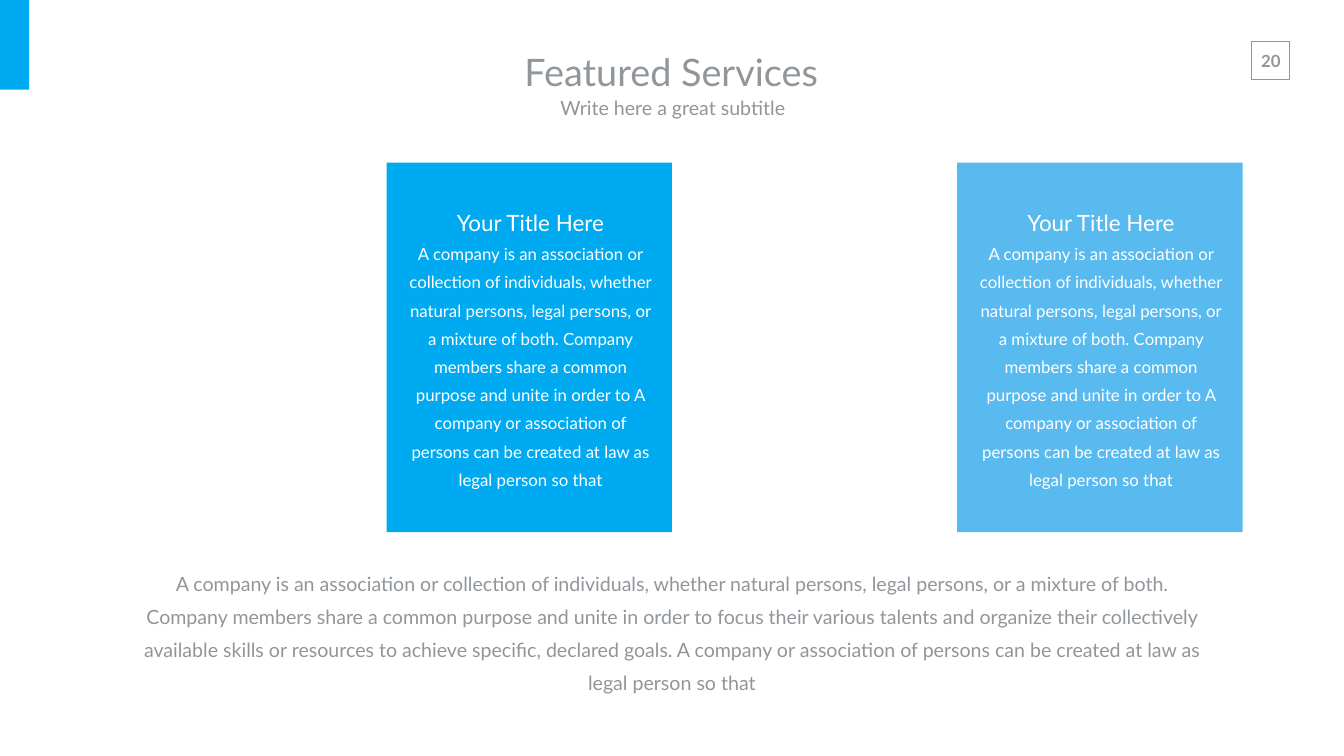
import pptx
import pptx.dml.color
import pptx.enum.shapes
import pptx.enum.text
import pptx.util
from pptx.util import Cm

BLUE, LIGHT_BLUE, GREY, WHITE = "00AAF0", "59BAF0", "91969B", "FFFFFF"
FONT = "Lato"
INTRODUCTION = (
    "A company is an association or collection of individuals, whether natural persons, "
    "legal persons, or a mixture of both. Company members share a common purpose and unite in order to "
)
ENDING = "A company or association of persons can be created at law as legal person so that"
CARD_TEXT = INTRODUCTION + ENDING
SUMMARY = (
    INTRODUCTION + "focus their various talents and organize their collectively available skills "
    "or resources to achieve specific, declared goals. " + ENDING
)


def color(value):
    """Turn a hex string into a colour."""
    return pptx.dml.color.RGBColor.from_string(value)


def add_rectangle(slide, left, top, width, height, fill=None, line=None):
    """Add a rectangle, measured in centimetres, with an optional fill and outline."""
    shape = slide.shapes.add_shape(
        pptx.enum.shapes.MSO_SHAPE.RECTANGLE, Cm(left), Cm(top), Cm(width), Cm(height)
    )
    shape.shadow.inherit = False
    if fill:
        shape.fill.solid()
        shape.fill.fore_color.rgb = color(fill)
    else:
        shape.fill.background()
    if line:
        shape.line.color.rgb = color(line)
        shape.line.width = pptx.util.Pt(1)
    else:
        shape.line.fill.background()


def add_text(slide, left, top, width, height, lines, text_color=GREY, bold=False,
             spacing=None, margins=(0.25, 0.13), middle=False, wrap=True):
    """Add centred text from pairs of wording and point size."""
    frame = slide.shapes.add_textbox(Cm(left), Cm(top), Cm(width), Cm(height)).text_frame
    frame.word_wrap = wrap
    frame.auto_size = pptx.enum.text.MSO_AUTO_SIZE.SHAPE_TO_FIT_TEXT
    frame.margin_left = frame.margin_right = Cm(margins[0])
    frame.margin_top = frame.margin_bottom = Cm(margins[1])
    if middle:
        frame.vertical_anchor = pptx.enum.text.MSO_ANCHOR.MIDDLE
    for index, (wording, size) in enumerate(lines):
        paragraph = frame.add_paragraph() if index else frame.paragraphs[0]
        paragraph.text = wording
        paragraph.alignment = pptx.enum.text.PP_ALIGN.CENTER
        paragraph.line_spacing = spacing
        paragraph.font.name = FONT
        paragraph.font.size = pptx.util.Pt(size)
        paragraph.font.bold = bold
        paragraph.font.color.rgb = color(text_color)


def add_card(slide, left, fill):
    """Add a filled service card with its title and description."""
    add_rectangle(slide, left, 8.2, 14.38, 18.62, fill=fill)
    add_text(slide, left + 0.76, 9.86, 12.98, 15.04,
             [("Your Title Here", 32), (CARD_TEXT, 24)], text_color=WHITE, spacing=1.4)


def main():
    """Build the featured services slide."""
    presentation = pptx.Presentation()
    presentation.slide_width, presentation.slide_height = Cm(67.72), Cm(38.1)
    slide = presentation.slides.add_slide(presentation.slide_layouts[6])

    add_text(slide, 63, 2.29, 2.06, 1.55, [("20", 24)], bold=True,
             margins=(0.51, 0.25), wrap=False)
    add_rectangle(slide, 63.07, 2.08, 1.9, 1.9, line=GREY)
    add_rectangle(slide, 0, 0, 1.47, 4.52, fill=BLUE)

    add_text(slide, 20.7, 2.11, 26.24, 3, [("Featured Services", 54)],
             margins=(0.69, 0.33), middle=True)
    add_text(slide, 20.78, 4.47, 26.24, 1.88, [("Write here a great subtitle", 28)],
             margins=(0.69, 0.33), middle=True)

    for left, fill in ((19.48, BLUE), (48.23, LIGHT_BLUE)):
        add_card(slide, left, fill)
    add_text(slide, 6.73, 28.24, 54.25, 5.21, [(SUMMARY, 28)], spacing=1.4)

    presentation.save("out.pptx")


if __name__ == "__main__":
    main()
